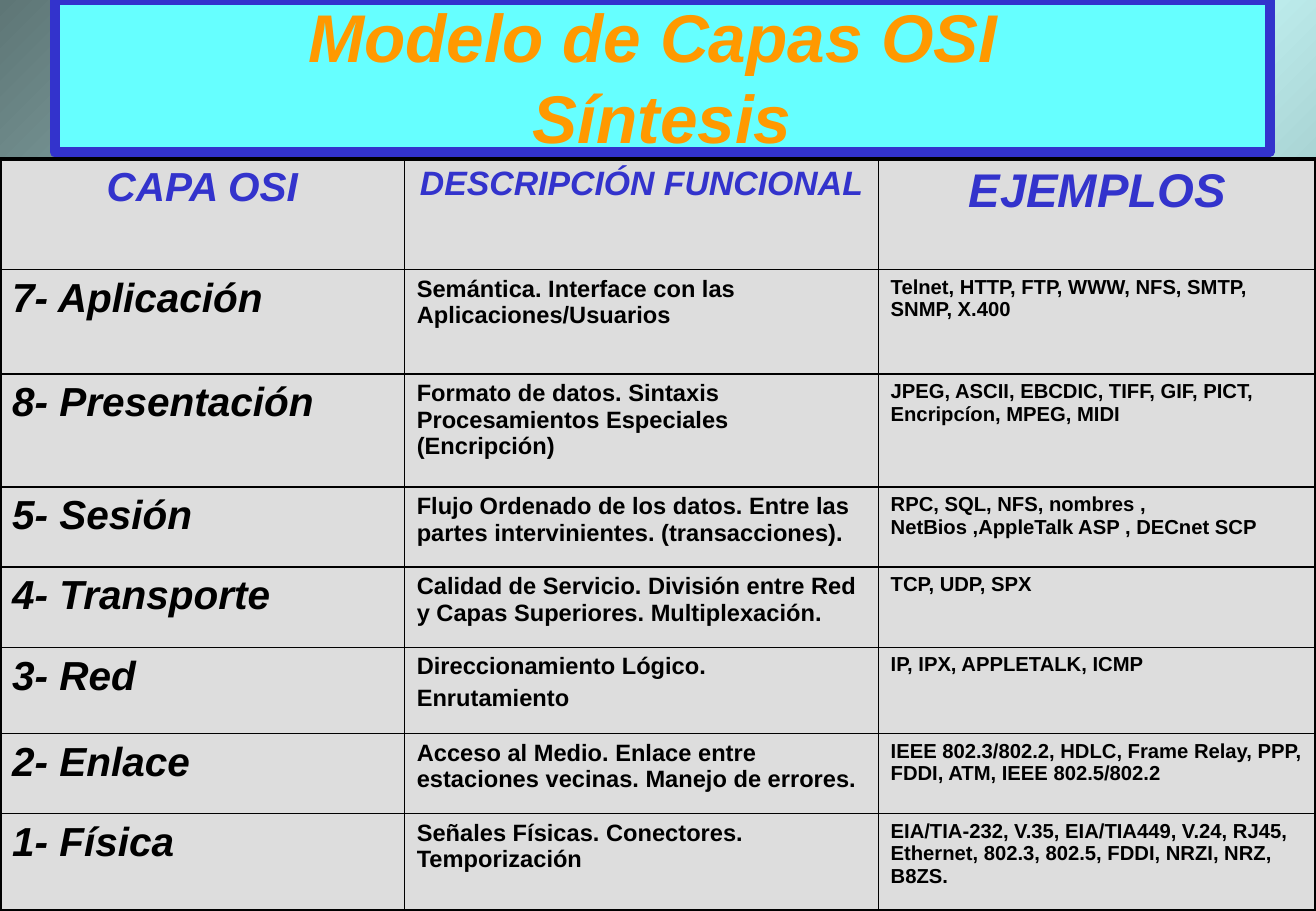
from copy import deepcopy

from lxml import etree
from pptx import Presentation
from pptx.dml.color import RGBColor
from pptx.enum.shapes import MSO_SHAPE
from pptx.enum.text import MSO_ANCHOR, PP_ALIGN
from pptx.oxml.ns import qn
from pptx.util import Inches, Pt

CENTER, LEFT = PP_ALIGN.CENTER, PP_ALIGN.LEFT
MIDDLE = MSO_ANCHOR.MIDDLE
RECTANGLE = MSO_SHAPE.RECTANGLE

BLACK = RGBColor(0x00, 0x00, 0x00)
BLUE = RGBColor(0x33, 0x33, 0xCC)
CYAN = RGBColor(0x66, 0xFF, 0xFF)
ORANGE = RGBColor(0xFF, 0x99, 0x00)
GREY = RGBColor(0xDD, 0xDD, 0xDD)
SLATE = RGBColor(0x5E, 0x76, 0x76)
PALE = RGBColor(0xCC, 0xFF, 0xFF)

FONT = "Arial"
OUTER_LINE, INNER_LINE = Pt(2.25), Pt(1)
COLUMN_WIDTHS = [3.33, 3.9, 3.6]
ROW_HEIGHTS = [0.91, 0.86, 0.93, 0.66, 0.66, 0.71, 0.66, 0.8]
HEADER_SIZES = [24, 20, 28]
BODY_SIZES = [24, 14, 12]

LAYERS = [
    ("CAPA OSI", "DESCRIPCIÓN FUNCIONAL", "EJEMPLOS"),
    ("7- Aplicación", "Semántica. Interface con las Aplicaciones/Usuarios",
     "Telnet, HTTP, FTP, WWW, NFS, SMTP, SNMP, X.400"),
    ("8- Presentación", "Formato de datos. Sintaxis Procesamientos Especiales (Encripción)",
     "JPEG, ASCII, EBCDIC, TIFF, GIF, PICT, Encripcíon, MPEG, MIDI"),
    ("5- Sesión", "Flujo Ordenado de los datos. Entre las partes intervinientes. (transacciones).",
     "RPC, SQL, NFS, nombres ,\vNetBios ,AppleTalk ASP , DECnet SCP"),
    ("4- Transporte", "Calidad de Servicio. División entre Red y Capas Superiores. Multiplexación.",
     "TCP, UDP, SPX"),
    ("3- Red", "Direccionamiento Lógico.\nEnrutamiento", "IP, IPX, APPLETALK, ICMP"),
    ("2- Enlace", "Acceso al Medio. Enlace entre estaciones vecinas. Manejo de errores.",
     "IEEE 802.3/802.2, HDLC, Frame Relay, PPP, FDDI, ATM, IEEE 802.5/802.2"),
    ("1- Física", "Señales Físicas. Conectores. Temporización",
     "EIA/TIA-232, V.35, EIA/TIA449, V.24, RJ45, Ethernet, 802.3, 802.5, FDDI, NRZI, NRZ, B8ZS."),
]


def style_text(frame, size, color, italic, align):
    """Give every paragraph of a frame the same bold font and alignment."""
    for index, paragraph in enumerate(frame.paragraphs):
        paragraph.alignment = align
        if index:
            paragraph.space_before = Pt(size * 0.2)
        font = paragraph.font
        font.name, font.size = FONT, Pt(size)
        font.bold, font.italic = True, italic
        font.color.rgb = color


def paint_background(slide):
    """Fill the slide with a diagonal gradient that is pale in the middle."""
    fill = slide.background.fill
    fill.gradient()
    fill.gradient_angle = 315
    stop_list = slide.element.find(".//" + qn("a:gsLst"))
    stop_list.append(deepcopy(stop_list[0]))
    for stop, color, position in zip(fill.gradient_stops, (SLATE, PALE, SLATE), (0, 0.5, 1)):
        stop.color.rgb = color
        stop.position = position


def add_title(slide, left, top, width, height):
    """Draw the framed title banner."""
    banner = slide.shapes.add_shape(RECTANGLE, left, top, width, height)
    banner.shadow.inherit = False
    banner.fill.solid()
    banner.fill.fore_color.rgb = CYAN
    banner.line.color.rgb = BLUE
    banner.line.width = Pt(6)
    frame = banner.text_frame
    frame.word_wrap = True
    frame.vertical_anchor = MIDDLE
    frame.text = "Modelo de Capas OSI \vSíntesis"
    style_text(frame, 40, ORANGE, True, CENTER)


def set_borders(cell, widths):
    """Draw the left, right, top and bottom borders of a cell in black."""
    properties = cell._tc.get_or_add_tcPr()
    for index, (side, width) in enumerate(zip("LRTB", widths)):
        border = etree.Element(qn(f"a:ln{side}"), w=str(int(width)))
        fill = etree.SubElement(border, qn("a:solidFill"))
        etree.SubElement(fill, qn("a:srgbClr"), val=str(BLACK))
        properties.insert(index, border)


def add_layer_table(slide, left, top, width, height):
    """Build the table of layers with heavier outer borders."""
    last_row, last_column = len(ROW_HEIGHTS) - 1, len(COLUMN_WIDTHS) - 1
    table = slide.shapes.add_table(
        len(ROW_HEIGHTS), len(COLUMN_WIDTHS), left, top, width, height).table
    for column, column_width in zip(table.columns, COLUMN_WIDTHS):
        column.width = Inches(column_width)
    for row, row_height in zip(table.rows, ROW_HEIGHTS):
        row.height = Inches(row_height)
    for r, layer in enumerate(LAYERS):
        for c, wording in enumerate(layer):
            cell = table.cell(r, c)
            cell.text = wording
            cell.fill.solid()
            cell.fill.fore_color.rgb = GREY
            outer_sides = (c == 0, c == last_column, r == 0, r == last_row)
            set_borders(cell, [OUTER_LINE if outer else INNER_LINE for outer in outer_sides])
            if r == 0:
                style_text(cell.text_frame, HEADER_SIZES[c], BLUE, True, CENTER)
            else:
                style_text(cell.text_frame, BODY_SIZES[c], BLACK, c == 0, LEFT)


def main():
    """Build the slide and save it."""
    deck = Presentation()
    deck.slide_width, deck.slide_height = Inches(10.83), Inches(7.5)
    slide = deck.slides.add_slide(deck.slide_layouts[6])
    paint_background(slide)
    add_title(slide, Inches(0.45), Inches(0), Inches(10), Inches(1.25))
    add_layer_table(slide, Inches(0), Inches(1.31),
                    Inches(sum(COLUMN_WIDTHS)), Inches(sum(ROW_HEIGHTS)))
    deck.save("out.pptx")


if __name__ == "__main__":
    main()
